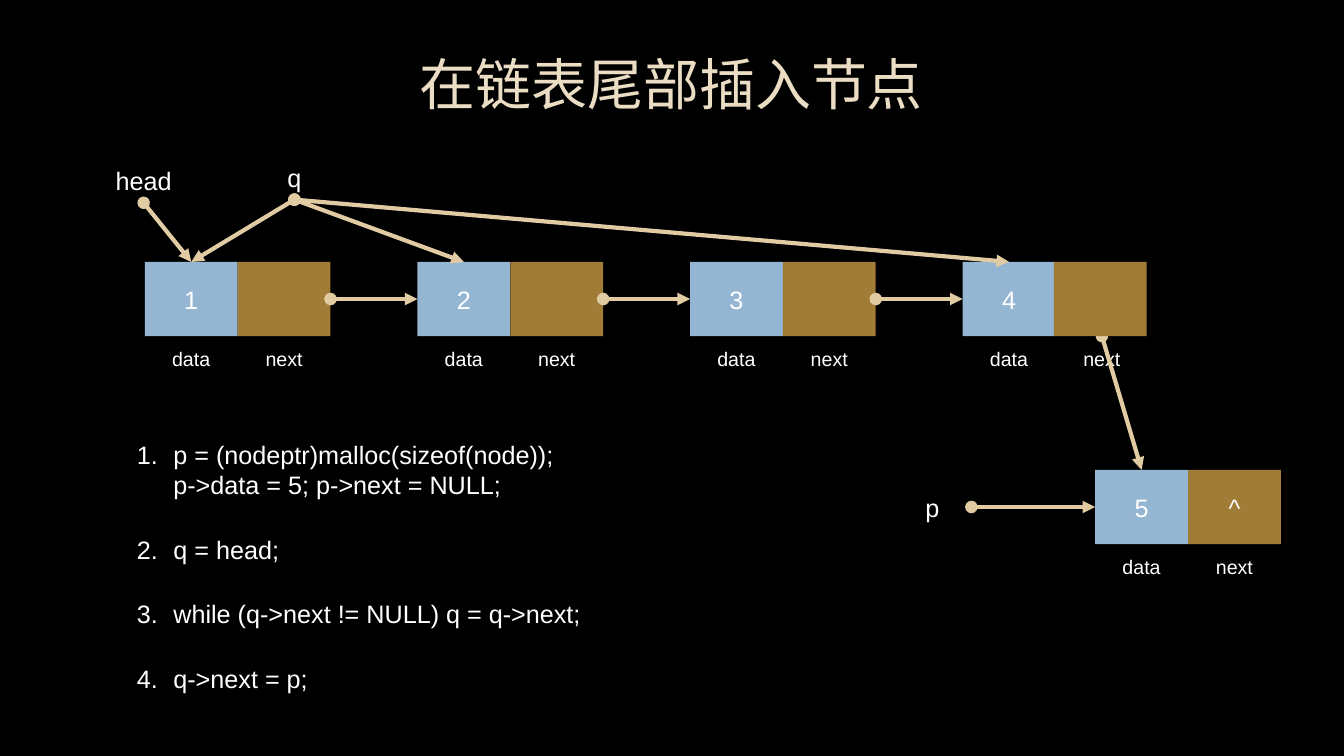
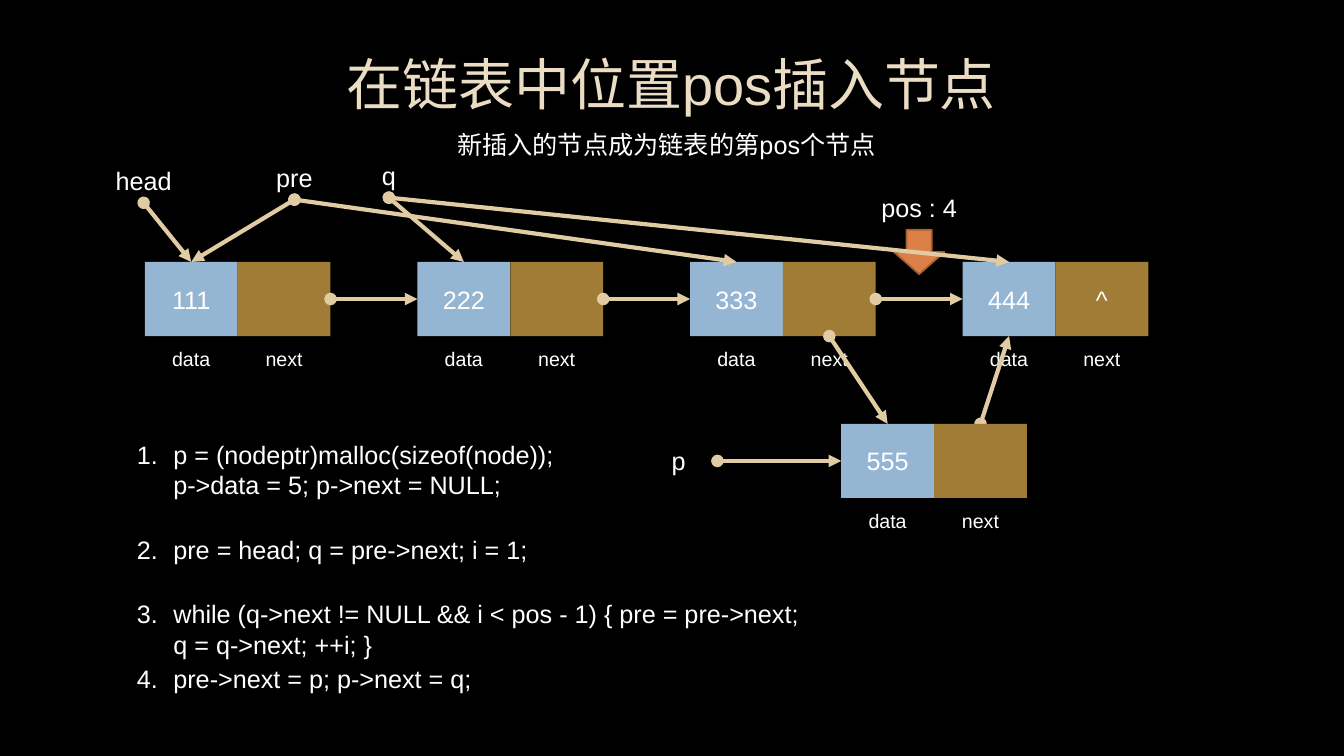
from pptx import Presentation
from pptx.dml.color import RGBColor as RGB
from pptx.enum.shapes import MSO_CONNECTOR as CON, MSO_SHAPE as SHAPE
from pptx.enum.text import MSO_ANCHOR as ANCHOR, PP_ALIGN as ALIGN
from pptx.oxml.ns import qn
from pptx.util import Cm, Pt
from lxml.etree import SubElement as Sub

BLACK = RGB(0x00, 0x00, 0x00)
WHITE = RGB(0xFF, 0xFF, 0xFF)
CREAM = RGB(0xEB, 0xDD, 0xC3)
SAND = RGB(0xE0, 0xCB, 0xA3)
BLUE = RGB(0x94, 0xB6, 0xD2)
BROWN = RGB(0xA1, 0x7C, 0x36)
ORANGE = RGB(0xDD, 0x80, 0x47)
RUST = RGB(0xA3, 0x5F, 0x35)

# Lengths in centimetres
CELL_W, CELL_H, LABEL_H = 2.34, 1.87, 1.12
ROW_X, ROW_Y, PITCH = 3.65, 6.6, 6.87
TAG_W = 2.87
STEP_X, STEP_Y, STEP_W = 3.2, (10.95, 13.34, 14.96, 16.59), 17.3
HANG = 0.92
HEAD, NEAR, FAR = (3.62, 5.11), (7.42, 5.03), (9.8, 4.98)


def top(x, y, col=0):
    """Middle of the upper edge of a node's cell; col 0 is data, 1 is next."""
    return x + (col + 0.5) * CELL_W, y


def foot(x, y, col=0):
    """Middle of the lower edge of a node's cell."""
    return x + (col + 0.5) * CELL_W, y + CELL_H


class Deck:
    def __init__(self):
        self.prs = Presentation()
        self.prs.slide_width, self.prs.slide_height = Cm(33.87), Cm(19.05)
        self.slide = None

    def page(self, title):
        self.slide = self.prs.slides.add_slide(self.prs.slide_layouts[6])
        fill = self.slide.background.fill
        fill.solid()
        fill.fore_color.rgb = BLACK
        self.text(title, 2.54, 0.76, 28.75, 2.69, size=40, color=CREAM)

    def put(self, frame, lines, size=18, color=WHITE, align=ALIGN.CENTER,
            anchor=ANCHOR.MIDDLE, num=None):
        """Fill a frame; num numbers the first line and hangs the others."""
        for key, val in {"word_wrap": True, "vertical_anchor": anchor}.items():
            setattr(frame, key, val)
        for i, line in enumerate(lines.split("\n")):
            par = frame.paragraphs[0] if i == 0 else frame.add_paragraph()
            par.alignment = align
            if num:
                prop = par._p.get_or_add_pPr()
                prop.set("marL", str(Cm(HANG)))
                prop.set("indent", str(0 if i else -Cm(HANG)))
                if i == 0:
                    Sub(prop, qn("a:buAutoNum"), type="arabicPeriod", startAt=str(num))
            run = par.add_run()
            run.text = line
            for key, val in {"name": "Arial", "size": Pt(size)}.items():
                setattr(run.font, key, val)
            run.font.color.rgb = color

    def text(self, words, x, y, w, h, **style):
        box = self.slide.shapes.add_textbox(Cm(x), Cm(y), Cm(w), Cm(h))
        self.put(box.text_frame, words, **style)

    def shape(self, kind, x, y, w, h, fill, edge=None):
        form = self.slide.shapes.add_shape(kind, Cm(x), Cm(y), Cm(w), Cm(h))
        form.shadow.inherit = False
        form.fill.solid()
        form.fill.fore_color.rgb = fill
        if edge:
            form.line.color.rgb = edge
            form.line.width = Pt(1.25)
        else:
            form.line.fill.background()
        return form

    def cell(self, x, y, fill, words=""):
        form = self.shape(SHAPE.RECTANGLE, x, y, CELL_W, CELL_H, fill)
        if words:
            self.put(form.text_frame, words)

    def node(self, x, y, data, link=""):
        """Draw a list node; link None leaves its next cell for later."""
        self.cell(x, y, BLUE, data)
        if link is not None:
            self.cell(x + CELL_W, y, BROWN, link)
        for i, name in enumerate(("data", "next")):
            self.text(name, x + i * CELL_W, y + CELL_H, CELL_W, LABEL_H, size=14)

    def arrow(self, start, end):
        line = self.slide.shapes.add_connector(
            CON.STRAIGHT, *(Cm(v) for v in (*start, *end)))
        line.line.color.rgb = SAND
        line.line.width = Pt(3)
        edge = line._element.spPr.find(qn("a:ln"))
        Sub(edge, qn("a:headEnd"), type="oval")
        Sub(edge, qn("a:tailEnd"), type="triangle")
        Sub(line._element.spPr, qn("a:effectLst"))

    def tag(self, name, spot, *ends):
        """Name a pointer above spot and draw its arrows."""
        x, y = spot
        self.text(name, x - TAG_W / 2, y - LABEL_H, TAG_W, LABEL_H)
        for end in ends:
            self.arrow(spot, end)

    def chain(self, items, last):
        """Draw the row of linked nodes and return their places."""
        spots = [(ROW_X + i * PITCH, ROW_Y) for i in range(len(items))]
        for spot, item in zip(spots, items):
            self.node(*spot, item, last if item == items[-1] else "")
        mid = ROW_Y + CELL_H / 2
        for (x, _), (end, _) in zip(spots, spots[1:]):
            self.arrow((x + 2 * CELL_W, mid), (end, mid))
        self.tag("head", HEAD, top(*spots[0]))
        return spots

    def fresh(self, x, y, data, link):
        """Draw the new node with pointer p at its left."""
        self.node(x, y, data, link)
        mid = y + CELL_H / 2
        self.text("p", x - 4.1 - TAG_W / 2, mid - LABEL_H / 2, TAG_W, LABEL_H)
        self.arrow((x - 3.12, mid), (x, mid))

    def steps(self, *items):
        for num, (y, item) in enumerate(zip(STEP_Y, items), 1):
            self.text(item, STEP_X, y, STEP_W, 1.02 + 0.78 * item.count("\n"),
                      align=ALIGN.LEFT, anchor=ANCHOR.TOP, num=num)


MAKE = "p = (nodeptr)malloc(sizeof(node));\np->data = 5; p->next = NULL;"


def tail(deck):
    deck.page("在链表尾部插入节点")
    spots = deck.chain("1234", None)
    new = (27.6, 11.84)
    deck.fresh(*new, "5", "^")
    deck.tag("q", NEAR, *(top(*spots[i]) for i in (0, 1, 3)))
    deck.arrow(foot(*spots[3], 1), top(*new))
    deck.cell(spots[3][0] + CELL_W - 0.04, ROW_Y, BROWN)
    deck.steps(MAKE, "q = head;", "while (q->next != NULL) q = q->next;",
               "q->next = p;")


def middle(deck):
    deck.page("在链表中位置pos插入节点")
    deck.text("新插入的节点成为链表的第pos个节点", 11.23, 3.07, 11.13, LABEL_H)
    spots = deck.chain(["111", "222", "333", "444"], "^")
    deck.text("pos : 4", 21.03, 4.67, 4.27, LABEL_H)
    deck.shape(SHAPE.DOWN_ARROW, 22.53, 5.79, 1.27, LABEL_H, ORANGE, RUST)
    new = (21.2, 10.68)
    deck.fresh(*new, "555", None)
    deck.tag("pre", NEAR, top(*spots[0]), top(*spots[2]))
    deck.tag("q", FAR, top(*spots[1]), top(*spots[3]))
    deck.arrow(foot(*spots[2], 1), top(*new))
    deck.arrow(top(*new, 1), foot(*spots[3]))
    deck.cell(new[0] + CELL_W, new[1], BROWN)
    deck.steps(MAKE, "pre = head; q = pre->next; i = 1;",
               "while (q->next != NULL && i < pos - 1) { pre = pre->next; "
               "q = q->next; ++i; }",
               "pre->next = p; p->next = q;")


def main():
    deck = Deck()
    tail(deck)
    middle(deck)
    deck.prs.save("out.pptx")


if __name__ == "__main__":
    main()
